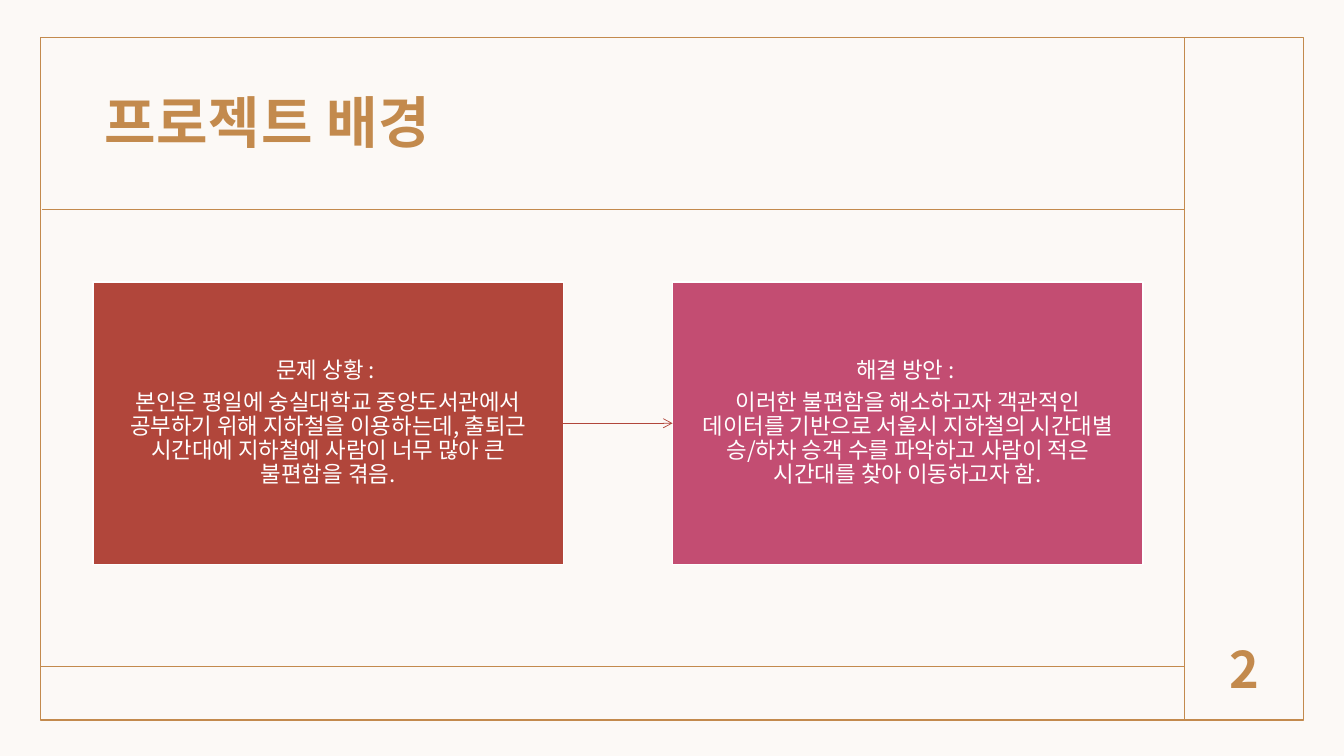
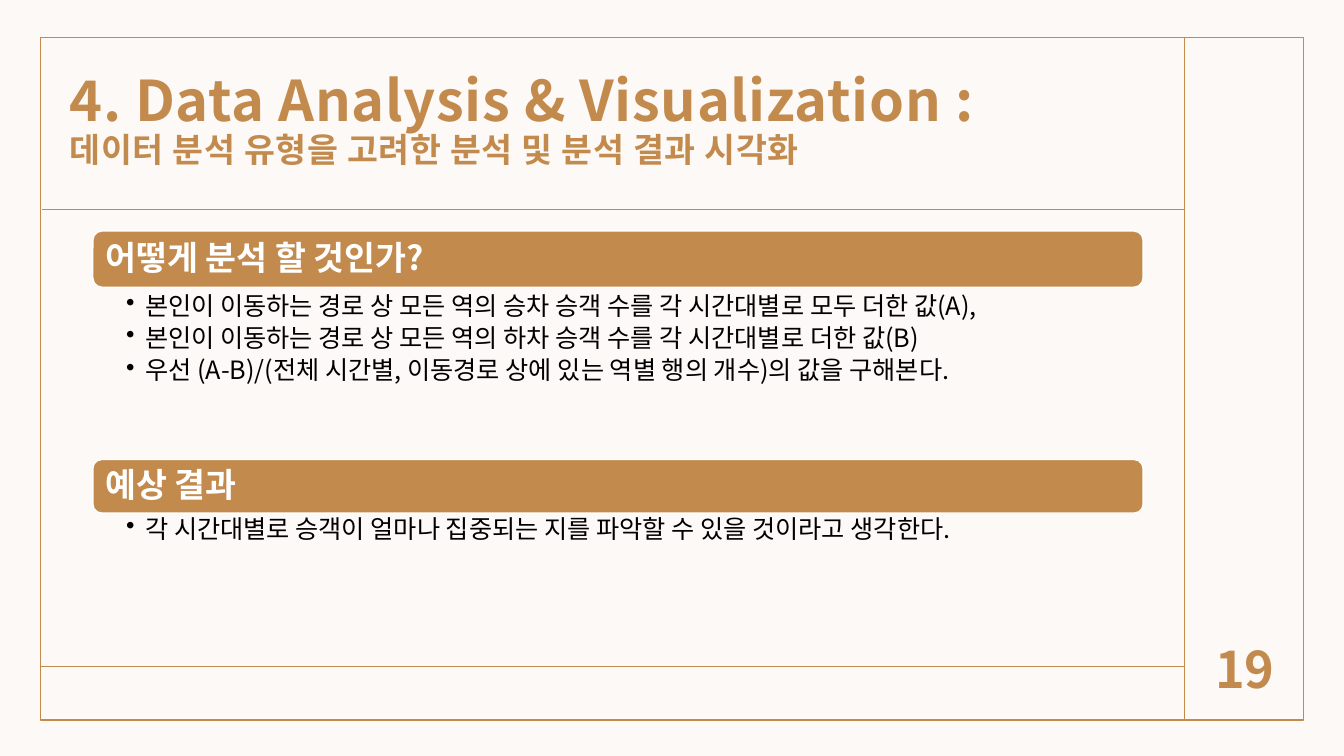
from dataclasses import dataclass

from lxml import etree
from pptx import Presentation
from pptx.dml.color import RGBColor
from pptx.enum import shapes, text
from pptx.oxml import ns
from pptx.slide import Slide
from pptx.text.text import TextFrame
from pptx.util import Cm, Pt

GOLD = RGBColor(0xC3, 0x8A, 0x4D)
CREAM = RGBColor(0xFC, 0xF9, 0xF6)
RED = RGBColor(0xB1, 0x46, 0x3B)
PINK = RGBColor(0xC3, 0x4D, 0x72)
WHITE = RGBColor(0xFF, 0xFF, 0xFF)
BLACK = RGBColor(0x00, 0x00, 0x00)
FONT = "Noto Sans CJK KR"

FRAME_LEFT, FRAME_TOP = 1.02, 0.94
FRAME_WIDTH, FRAME_HEIGHT = 31.83, 17.2
SIDEBAR_LEFT = 29.85
TITLE_RULE_TOP, FOOTER_RULE_TOP = 5.28, 16.79
CONTENT_LEFT, CONTENT_WIDTH = 2.34, 26.47
CARD_WIDTH, CARD_HEIGHT, CARD_TOP = 11.86, 7.11, 7.11
TITLE_INSETS = (0.3, 0.3, 0.3, 0.25)


@dataclass(frozen=True)
class Area:
    left: float
    top: float
    width: float
    height: float

    def lengths(self) -> tuple[Cm, Cm, Cm, Cm]:
        return Cm(self.left), Cm(self.top), Cm(self.width), Cm(self.height)


@dataclass(frozen=True)
class TextStyle:
    size: float
    color: RGBColor
    bold: bool = False
    align: text.PP_ALIGN = text.PP_ALIGN.LEFT
    anchor: text.MSO_ANCHOR = text.MSO_ANCHOR.MIDDLE
    after: float = 0
    spacing: float = 0.9
    tracking: int = 0
    bulleted: bool = False


@dataclass(frozen=True)
class Card:
    lines: str
    color: RGBColor


@dataclass(frozen=True)
class Section:
    heading: str
    bullets: str
    top: float
    heading_height: float
    body_top: float
    body_height: float


TITLE = TextStyle(40, GOLD, bold=True, tracking=50)
PAGE_NUMBER = TextStyle(36, GOLD, bold=True, align=text.PP_ALIGN.CENTER, spacing=1)
CARD_TEXT = TextStyle(16, WHITE, align=text.PP_ALIGN.CENTER, after=5.6)
HEADING = TextStyle(24, WHITE, bold=True)
BULLET = TextStyle(18, BLACK, anchor=text.MSO_ANCHOR.TOP, after=3.6, bulleted=True)

CARDS = (
    Card(
        "문제 상황 : \n본인은 평일에 숭실대학교 중앙도서관에서 공부하기 위해 "
        "지하철을 이용하는데, 출퇴근 시간대에 지하철에 사람이 너무 많아 큰 불편함을 겪음.",
        RED,
    ),
    Card(
        "해결 방안 : \n이러한 불편함을 해소하고자 객관적인 데이터를 기반으로 "
        "서울시 지하철의 시간대별 승/하차 승객 수를 파악하고 사람이 적은 "
        "시간대를 찾아 이동하고자 함.",
        PINK,
    ),
)

SECTIONS = (
    Section(
        "어떻게 분석 할 것인가?",
        "본인이 이동하는 경로 상 모든 역의 승차 승객 수를 각 시간대별로 모두 더한 값(A),\n"
        "본인이 이동하는 경로 상 모든 역의 하차 승객 수를 각 시간대별로 더한 값(B)\n"
        "우선 (A-B)/(전체 시간별, 이동경로 상에 있는 역별 행의 개수)의 값을 구해본다.",
        5.82, 1.42, 7.32, 3.58,
    ),
    Section(
        "예상 결과",
        "각 시간대별로 승객이 얼마나 집중되는 지를 파악할 수 있을 것이라고 생각한다.",
        11.58, 1.35, 12.93, 2.95,
    ),
)


def write(
    frame: TextFrame,
    words: str,
    style: TextStyle,
    insets: tuple[float, float, float, float],
) -> None:
    frame.text = words
    frame.word_wrap = True
    frame.auto_size = text.MSO_AUTO_SIZE.NONE
    frame.vertical_anchor = style.anchor
    frame.margin_left, frame.margin_top, frame.margin_right, frame.margin_bottom = map(
        Cm, insets
    )
    for para in frame.paragraphs:
        para.alignment = style.align
        para.line_spacing = style.spacing
        para.space_before = Pt(0)
        para.space_after = Pt(style.after)
        if style.bulleted:
            properties = para._p.get_or_add_pPr()
            properties.set("marL", str(Cm(0.48)))
            properties.set("indent", str(-Cm(0.48)))
            etree.SubElement(properties, ns.qn("a:buChar"), char="•")
        for span in para.runs:
            span.font.name = FONT
            span.font.size = Pt(style.size)
            span.font.bold = style.bold
            span.font.color.rgb = style.color
            run_properties = span._r.get_or_add_rPr()
            etree.SubElement(run_properties, ns.qn("a:ea"), typeface=FONT)
            if style.tracking:
                run_properties.set("spc", str(style.tracking))


def add_box(
    page: Slide, kind: shapes.MSO_SHAPE, area: Area, fill: RGBColor | None, line: RGBColor
):
    box = page.shapes.add_shape(kind, *area.lengths())
    box.shadow.inherit = False
    if fill is None:
        box.fill.background()
    else:
        box.fill.solid()
        box.fill.fore_color.rgb = fill
    box.line.color.rgb = line
    box.line.width = Pt(1)
    return box


def add_line(
    page: Slide,
    start: tuple[float, float],
    end: tuple[float, float],
    color: RGBColor = GOLD,
    width: float = 1,
):
    line = page.shapes.add_connector(
        shapes.MSO_CONNECTOR.STRAIGHT, *map(Cm, start), *map(Cm, end)
    )
    line.line.color.rgb = color
    line.line.width = Pt(width)
    etree.SubElement(line._element.spPr, ns.qn("a:effectLst"))
    return line


def add_text(
    page: Slide,
    area: Area,
    words: str,
    style: TextStyle,
    insets: tuple[float, float, float, float],
) -> None:
    box = page.shapes.add_textbox(*area.lengths())
    write(box.text_frame, words, style, insets)


def add_page(deck, title: str, title_area: Area, number: int) -> Slide:
    page = deck.slides.add_slide(deck.slide_layouts[5])
    frame_area = Area(FRAME_LEFT, FRAME_TOP, FRAME_WIDTH, FRAME_HEIGHT)
    add_box(page, shapes.MSO_SHAPE.RECTANGLE, frame_area, None, GOLD)
    add_line(page, (SIDEBAR_LEFT, FRAME_TOP), (SIDEBAR_LEFT, FRAME_TOP + FRAME_HEIGHT))
    add_line(page, (FRAME_LEFT, FOOTER_RULE_TOP), (SIDEBAR_LEFT, FOOTER_RULE_TOP))
    add_line(page, (1.07, TITLE_RULE_TOP), (SIDEBAR_LEFT, TITLE_RULE_TOP))
    box = page.shapes.title
    box.left, box.top, box.width, box.height = title_area.lengths()
    write(box.text_frame, title, TITLE, TITLE_INSETS)
    add_text(page, Area(30.05, 15.75, 2.64, 2.11), str(number), PAGE_NUMBER, TITLE_INSETS)
    return page


def add_cards(page: Slide) -> None:
    step = CONTENT_WIDTH - CARD_WIDTH
    boxes = []
    for index, card in enumerate(CARDS):
        area = Area(CONTENT_LEFT + index * step, CARD_TOP, CARD_WIDTH, CARD_HEIGHT)
        box = add_box(page, shapes.MSO_SHAPE.RECTANGLE, area, card.color, WHITE)
        write(box.text_frame, card.lines, CARD_TEXT, (0.58, 0.61, 0.58, 0.61))
        boxes.append(box)
    middle = CARD_TOP + CARD_HEIGHT / 2
    arrow = add_line(
        page, (CONTENT_LEFT + CARD_WIDTH, middle), (CONTENT_LEFT + step, middle), RED, 0.5
    )
    arrow.begin_connect(boxes[0], 3)
    arrow.end_connect(boxes[1], 1)
    etree.SubElement(arrow.line._get_or_add_ln(), ns.qn("a:tailEnd"), type="arrow")


def add_section(page: Slide, section: Section) -> None:
    heading_area = Area(CONTENT_LEFT, section.top, CONTENT_WIDTH, section.heading_height)
    heading = add_box(page, shapes.MSO_SHAPE.ROUNDED_RECTANGLE, heading_area, GOLD, WHITE)
    write(heading.text_frame, section.heading, HEADING, (0.25, 0.25, 0.25, 0.25))
    body_area = Area(CONTENT_LEFT, section.body_top, CONTENT_WIDTH, section.body_height)
    add_text(page, body_area, section.bullets, BULLET, (0.84, 0.08, 0.36, 0.08))


def main() -> None:
    deck = Presentation()
    deck.slide_width, deck.slide_height = Cm(33.87), Cm(19.05)
    background = deck.slide_master.background.fill
    background.solid()
    background.fore_color.rgb = CREAM

    page = add_page(deck, "프로젝트 배경", Area(2.34, 1.63, 26.11, 3.02), 2)
    add_cards(page)

    page = add_page(
        deck,
        "4. Data Analysis & Visualization :\n데이터 분석 유형을 고려한 분석 및 분석 결과 시각화",
        Area(1.45, 1.3, 26.47, 3.45),
        19,
    )
    for span in page.shapes.title.text_frame.paragraphs[1].runs:
        span.font.size = Pt(24)
    for section in SECTIONS:
        add_section(page, section)

    deck.save("out.pptx")


if __name__ == "__main__":
    main()
